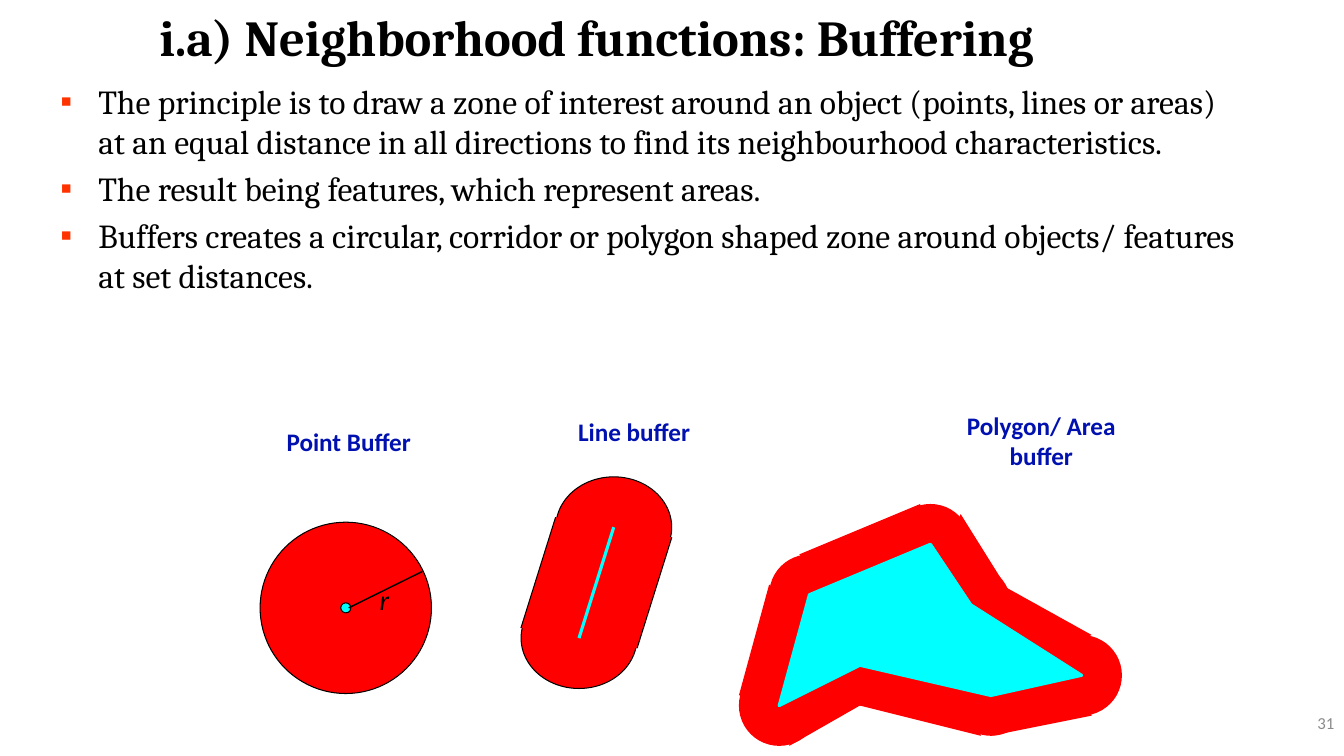
from lxml.etree import SubElement
from pptx import Presentation
from pptx.dml.color import RGBColor
from pptx.enum.shapes import MSO_CONNECTOR, MSO_SHAPE
from pptx.enum.text import MSO_ANCHOR, MSO_AUTO_SIZE, PP_ALIGN
from pptx.oxml.ns import qn
from pptx.util import Pt

BLACK, RED, CYAN, BLUE, GREY = "000000", "FF0000", "00FFFF", "0011B0", "8C8C8C"
BULLET = "FF3300"


def paint(target, color):
    if hasattr(target, "solid"):
        target.solid()
        target = target.fore_color
        target.rgb = RGBColor.from_string(color)
    else:
        target.rgb = RGBColor.from_string(color)


def write(para, text, size=18, font="Calibri", color=BLACK, bold=False,
          italic=False, align=PP_ALIGN.LEFT):
    para.alignment = align
    span = para.add_run()
    span.text = text
    span.font.size = Pt(size)
    span.font.name = font
    span.font.bold = bold
    span.font.italic = italic
    paint(span.font.color, color)


class BufferPage:
    """Draws styled elements on the current slide, with lengths in points."""

    def __init__(self, deck):
        self.page = deck.slides.add_slide(deck.slide_layouts[1])
        self.shapes = self.page.shapes

    def start_group(self):
        self.shapes = self.page.shapes.add_group_shape().shapes

    def end_group(self):
        self.shapes = self.page.shapes

    def place(self, box, left, top, width, height, anchor):
        box.left, box.top = Pt(left), Pt(top)
        box.width, box.height = Pt(width), Pt(height)
        frame = box.text_frame
        frame.word_wrap = True
        frame.auto_size = MSO_AUTO_SIZE.NONE
        frame.vertical_anchor = anchor
        return frame

    def title(self, text, *bounds):
        frame = self.place(self.page.shapes.title, *bounds, MSO_ANCHOR.MIDDLE)
        write(frame.paragraphs[0], text, size=36, font="Cambria", bold=True)

    def bullets(self, items, *bounds):
        frame = self.place(self.page.placeholders[1], *bounds, MSO_ANCHOR.TOP)
        for index, item in enumerate(items):
            para = frame.add_paragraph() if index else frame.paragraphs[0]
            write(para, item, size=24, font="Cambria")
            props = para._p.get_or_add_pPr()
            props.set("marL", str(Pt(27)))
            props.set("indent", str(Pt(-27)))
            tint = SubElement(props, qn("a:buClr"))
            SubElement(tint, qn("a:srgbClr"), val=BULLET)
            SubElement(props, qn("a:buChar"), char="▪")

    def label(self, text, left, top, width, height, anchor=MSO_ANCHOR.TOP, **style):
        box = self.shapes.add_textbox(0, 0, Pt(width), Pt(height))
        frame = self.place(box, left, top, width, height, anchor)
        write(frame.paragraphs[0], text, **style)

    def finish(self, shape, fill, line, weight):
        shape.shadow.inherit = False
        paint(shape.fill, fill)
        if line:
            paint(shape.line.fill, line)
            shape.line.width = Pt(weight)
        else:
            shape.line.fill.background()

    def disc(self, center, radius_x, radius_y, fill=RED, line=None):
        x, y = center
        shape = self.shapes.add_shape(
            MSO_SHAPE.OVAL, Pt(x - radius_x), Pt(y - radius_y),
            Pt(2 * radius_x), Pt(2 * radius_y))
        self.finish(shape, fill, line, 0.75)

    def polygon(self, corners, fill=RED, line=None, weight=2.25):
        tenths = [(round(x * 10), round(y * 10)) for x, y in corners]
        builder = self.shapes.build_freeform(*tenths[0], scale=Pt(0.1))
        builder.add_line_segments(tenths[1:], close=True)
        self.finish(builder.convert_to_shape(), fill, line, weight)

    def line(self, start, end, color=BLACK, weight=0.75):
        connector = self.shapes.add_connector(
            MSO_CONNECTOR.STRAIGHT, *[Pt(value) for value in (*start, *end)])
        paint(connector.line.fill, color)
        connector.line.width = Pt(weight)
        SubElement(connector._element.spPr, qn("a:effectLst"))


def draw_point_buffer(sheet):
    point = (247, 434.2)
    sheet.start_group()
    sheet.disc(point, 61.2, 61.2, line=BLACK)
    sheet.disc(point, 3.6, 3.6, fill=CYAN, line=BLACK)
    sheet.end_group()


def draw_line_buffer(sheet):
    top, bottom = (438.4, 376.6), (413.6, 455.8)
    sheet.start_group()
    for end in (bottom, top):
        sheet.disc(end, 41.4, 36, line=BLACK)
    left, right = [[(x + side * 41.5, y + side * 7.2) for x, y in (top, bottom)]
                   for side in (-1, 1)]
    sheet.polygon([*left, *reversed(right)])
    sheet.line(top, bottom, color=CYAN, weight=2.25)
    for edge in (left, right):
        sheet.line(*edge)
    sheet.end_group()


def draw_area_buffer(sheet):
    def on_grid(cells):
        return [(527.8 + 7.2 * column, 360 + 7.2 * row) for column, row in cells]

    area = on_grid([(7, 9), (19, 4), (23, 10), (34, 17), (25, 19), (12, 16), (4, 20)])
    bands = [
        [(6, 5), (18, 0), (16, 9), (10, 10)],
        [(22, 1), (27, 9), (22, 9), (21, 4)],
        [(26, 8), (35, 13), (29, 16), (24, 12)],
        [(35, 21), (25, 23), (25, 18), (34, 17)],
        [(24, 23), (12, 20), (14, 14), (23, 17)],
        [(12, 20), (5, 24), (5, 19), (10, 16)],
        [(0, 19), (3, 8), (8, 13), (5, 18)],
    ]
    sheet.start_group()
    for corner in area:
        sheet.disc(corner, 28.8, 28.8)
    for band in bands:
        sheet.polygon(on_grid(band))
    sheet.polygon(area, fill=CYAN, line=CYAN)
    sheet.end_group()


def main():
    deck = Presentation()
    deck.slide_width, deck.slide_height = Pt(960), Pt(540)
    sheet = BufferPage(deck)
    sheet.bullets([
        "The principle is to draw a zone of interest around an object (points, lines "
        "or areas) at an equal distance in all directions to find its neighbourhood "
        "characteristics.",
        "The result being features, which represent areas.",
        "Buffers creates a circular, corridor or polygon shaped zone around objects/ "
        "features at set distances.",
    ], 36, 54, 854.6, 252)
    sheet.title("i.a) Neighborhood functions: Buffering", 106.6, 3.6, 715.7, 44.6)
    draw_point_buffer(sheet)
    draw_line_buffer(sheet)
    draw_area_buffer(sheet)
    for text, *bounds in [
        ("Point Buffer", 192.2, 301, 113.8, 28.8),
        ("Line buffer", 396, 293.8, 113.8, 28.8),
        ("Polygon/ Area buffer", 671.8, 289.4, 144, 51.1),
    ]:
        sheet.label(text, *bounds, color=BLUE, bold=True, align=PP_ALIGN.CENTER)
    sheet.line((249.1, 434.2), (301.7, 408.2), weight=1)
    sheet.label("r", 264.2, 412.6, 36, 31, size=20, italic=True)
    sheet.label("31", 760.3, 498.2, 200, 36, anchor=MSO_ANCHOR.MIDDLE,
                size=12, color=GREY, align=PP_ALIGN.RIGHT)
    deck.save("out.pptx")


if __name__ == "__main__":
    main()
